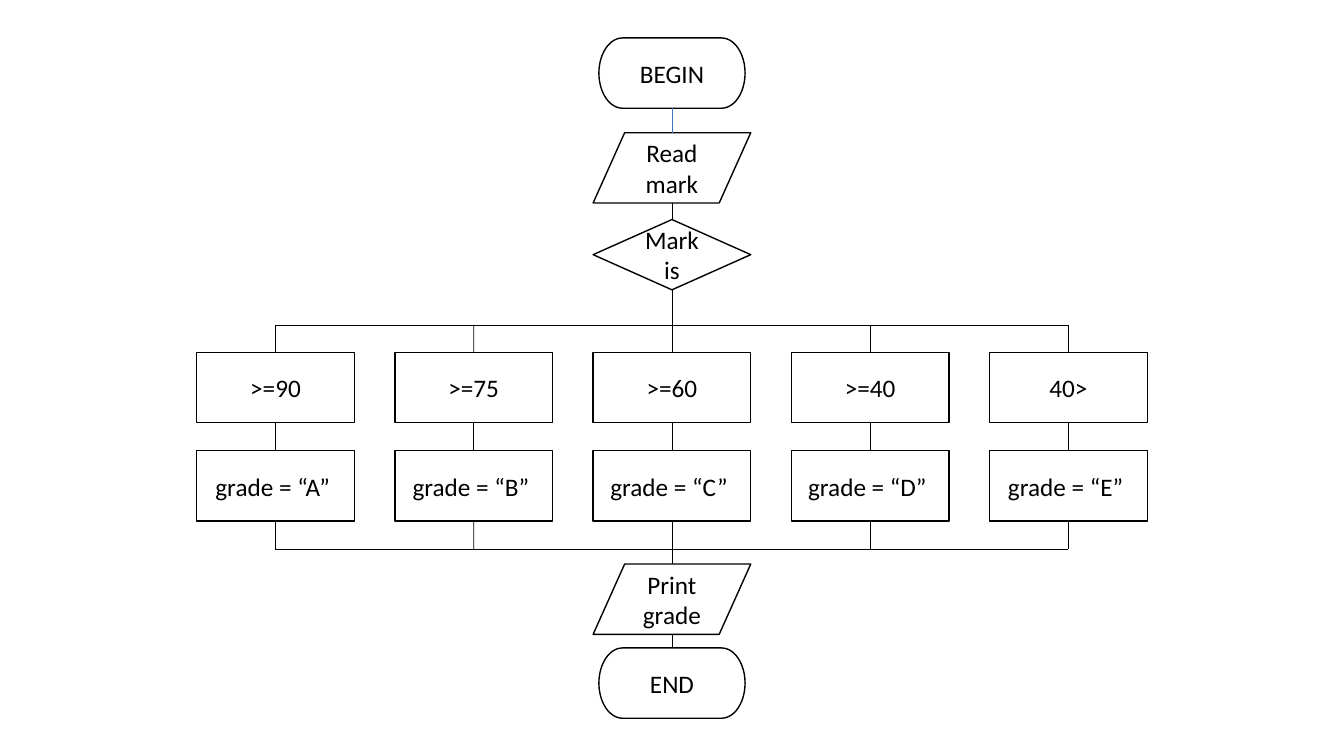
import pptx
import pptx.util
import pptx.dml.color
import pptx.enum.shapes
import pptx.enum.text
import pptx.oxml.ns
import lxml.etree

Pt = pptx.util.Pt
SHAPES = pptx.enum.shapes.MSO_SHAPE

COLORS = {"fill": "FFFFFF", "ink": "000000", "start link": "4472C4"}
FONT = "Calibri"
STEPS = {
    "begin": ("BEGIN", SHAPES.FLOWCHART_TERMINATOR, 27.1, 104.4, 13),
    "read": ("Read mark", SHAPES.FLOWCHART_DATA, 94.8, 112.6, 13),
    "decide": ("Mark is", SHAPES.FLOWCHART_DECISION, 156.8, 112.6, 7.2),
    "print": ("Print grade", SHAPES.FLOWCHART_DATA, 402.9, 112.6, 13),
    "end": ("END", SHAPES.FLOWCHART_TERMINATOR, 462.8, 104.4, 13),
}
BRANCHES = [
    (">=90", "grade = “A” "),
    (">=75", "grade = “B” "),
    (">=60", "grade = “C” "),
    (">=40", "grade = “D” "),
    ("40>", "grade = “E” "),
]

CENTER = 480
PITCH = 141.6
BOX_WIDTH = 112.6
BOX_HEIGHT = 50.2
TEST_TOP = 251.8
GRADE_TOP = 322
SPLIT_Y = 232.1
MERGE_Y = 392.4
TOP, BOTTOM = 0, 2


def color(name):
    return pptx.dml.color.RGBColor.from_string(COLORS[name])


def add_box(slide, text, kind, center, top, width=BOX_WIDTH, inset=7.2):
    shape = slide.shapes.add_shape(
        kind, Pt(center - width / 2), Pt(top), Pt(width), Pt(BOX_HEIGHT))
    shape.shadow.inherit = False
    shape.fill.solid()
    shape.fill.fore_color.rgb = color("fill")
    shape.line.color.rgb = color("ink")
    shape.line.width = Pt(1)
    frame = shape.text_frame
    frame.word_wrap = True
    frame.margin_left = frame.margin_right = Pt(inset)
    frame.margin_top = frame.margin_bottom = Pt(inset / 2)
    frame.vertical_anchor = pptx.enum.text.MSO_ANCHOR.MIDDLE
    paragraph = frame.paragraphs[0]
    paragraph.text = text
    paragraph.alignment = pptx.enum.text.PP_ALIGN.CENTER
    paragraph.font.name = FONT
    paragraph.font.size = Pt(18)
    paragraph.font.color.rgb = color("ink")
    return shape


def add_line(slide, x1, y1, x2, y2, ink="ink"):
    line = slide.shapes.add_connector(
        pptx.enum.shapes.MSO_CONNECTOR.STRAIGHT, Pt(x1), Pt(y1), Pt(x2), Pt(y2))
    line.line.color.rgb = color(ink)
    line.line.width = Pt(0.5)
    lxml.etree.SubElement(line._element.spPr, pptx.oxml.ns.qn("a:effectLst"))
    return line


def add_branch(slide, center, test, grade):
    test_box = add_box(slide, test, SHAPES.FLOWCHART_PROCESS, center, TEST_TOP)
    grade_box = add_box(slide, grade, SHAPES.FLOWCHART_PROCESS, center, GRADE_TOP)
    split = add_line(slide, center, SPLIT_Y, center, TEST_TOP)
    split.end_connect(test_box, TOP)
    link = add_line(slide, center, TEST_TOP + BOX_HEIGHT, center, GRADE_TOP)
    link.begin_connect(test_box, BOTTOM)
    link.end_connect(grade_box, TOP)
    merge = add_line(slide, center, GRADE_TOP + BOX_HEIGHT, center, MERGE_Y)
    merge.begin_connect(grade_box, BOTTOM)


def main():
    presentation = pptx.Presentation()
    presentation.slide_width = Pt(960)
    presentation.slide_height = Pt(540)
    slide = presentation.slides.add_slide(presentation.slide_layouts[6])

    boxes, tops, bottoms = {}, {}, {}
    for name, (text, kind, top, width, inset) in STEPS.items():
        boxes[name] = add_box(slide, text, kind, CENTER, top, width, inset)
        tops[name], bottoms[name] = top, top + BOX_HEIGHT

    centers = [CENTER + (index - len(BRANCHES) // 2) * PITCH
               for index in range(len(BRANCHES))]
    for center, (test, grade) in zip(centers, BRANCHES):
        add_branch(slide, center, test, grade)
    for rail in (SPLIT_Y, MERGE_Y):
        add_line(slide, centers[0], rail, centers[-1], rail)

    start = add_line(slide, CENTER, bottoms["begin"], CENTER, tops["read"], "start link")
    start.begin_connect(boxes["begin"], BOTTOM)
    ask = add_line(slide, CENTER, bottoms["read"], CENTER, tops["decide"])
    ask.end_connect(boxes["decide"], TOP)
    fork = add_line(slide, CENTER, bottoms["decide"], CENTER, SPLIT_Y)
    fork.begin_connect(boxes["decide"], BOTTOM)
    add_line(slide, CENTER, MERGE_Y, CENTER, tops["print"])
    finish = add_line(slide, CENTER, bottoms["print"], CENTER, tops["end"])
    finish.end_connect(boxes["end"], TOP)

    presentation.save("out.pptx")


if __name__ == "__main__":
    main()
